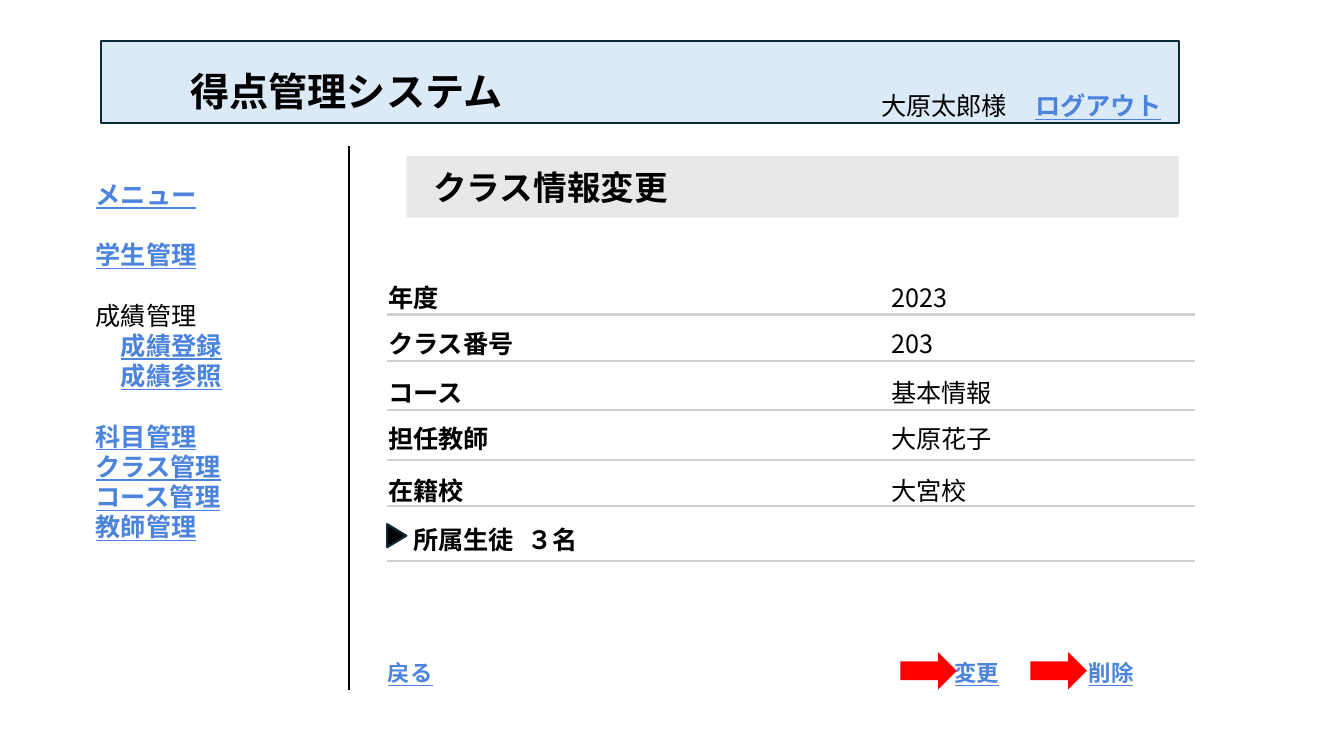
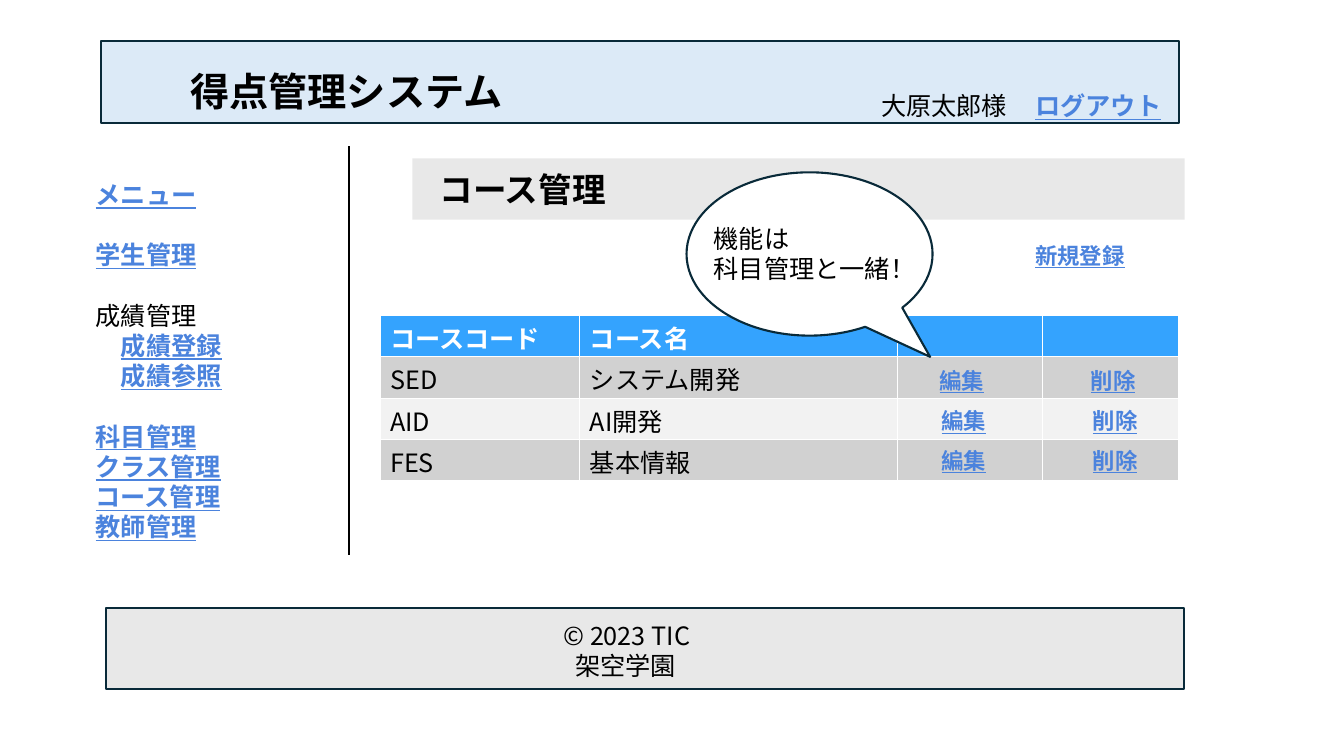
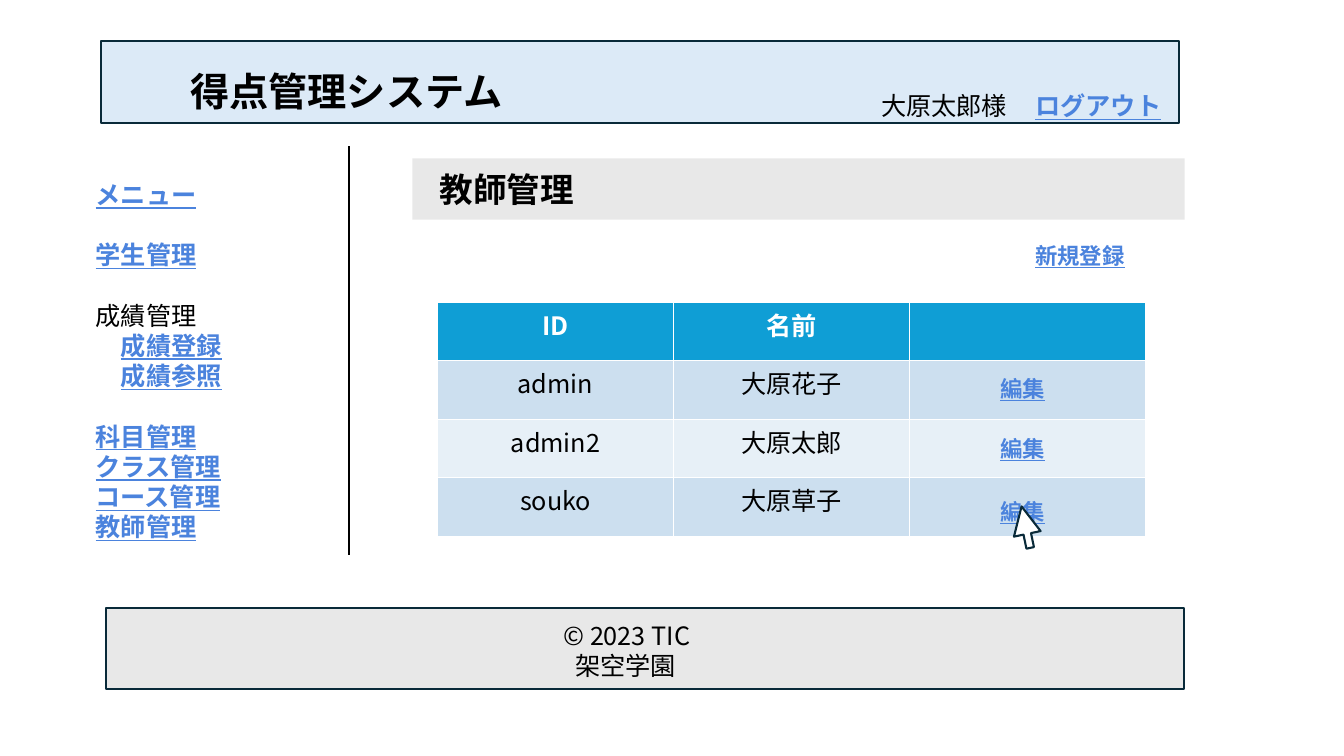
"""Build three screen mock-ups of a score management system."""
from lxml import etree
from pptx import Presentation
from pptx.dml.color import RGBColor
from pptx.enum.shapes import MSO_CONNECTOR, MSO_SHAPE
from pptx.enum.text import MSO_ANCHOR, PP_ALIGN
from pptx.oxml.ns import qn
from pptx.util import Inches, Pt

RECTANGLE, TRIANGLE = MSO_SHAPE.RECTANGLE, MSO_SHAPE.ISOSCELES_TRIANGLE
RIGHT_ARROW, UP_ARROW = MSO_SHAPE.RIGHT_ARROW, MSO_SHAPE.UP_ARROW
CALLOUT, STRAIGHT = MSO_SHAPE.OVAL_CALLOUT, MSO_CONNECTOR.STRAIGHT
LEFT, CENTER, TOP = PP_ALIGN.LEFT, PP_ALIGN.CENTER, MSO_ANCHOR.TOP

BLACK = RGBColor(0x00, 0x00, 0x00)
WHITE = RGBColor(0xFF, 0xFF, 0xFF)
RED = RGBColor(0xFF, 0x00, 0x00)
OUTLINE = RGBColor(0x09, 0x2A, 0x39)
HEADER_BLUE = RGBColor(0xDC, 0xEA, 0xF7)
LINK_BLUE = RGBColor(0x4B, 0x83, 0xDD)
PALE_GREY = RGBColor(0xE8, 0xE8, 0xE8)
RULE_GREY = RGBColor(0xD1, 0xD1, 0xD1)
BAND_GREY = RGBColor(0xF2, 0xF2, 0xF2)
COURSE_BLUE = RGBColor(0x34, 0xA3, 0xFE)
TEACHER_BLUE = RGBColor(0x0F, 0x9E, 0xD5)
TEACHER_DARK = RGBColor(0xCC, 0xDF, 0xEF)
TEACHER_LIGHT = RGBColor(0xE7, 0xF0, 0xF7)

FONT = "Noto Sans CJK JP"
LINE_HEIGHT = 1.2
PLAIN = {"size": Pt(18), "bold": False, "underline": False}
BOLD = {**PLAIN, "bold": True}
TITLE = {**BOLD, "size": Pt(28)}
HEADING = {**BOLD, "size": Pt(24)}
MENU_LINK = {**BOLD, "underline": True}
LINK = {**MENU_LINK, "size": Pt(16)}

MENU = [
    ("メニュー", MENU_LINK, 0, 0),
    ("学生管理", MENU_LINK, 1, 0),
    ("成績管理", PLAIN, 1, 0),
    ("成績登録", MENU_LINK, 0, 18),
    ("成績参照", MENU_LINK, 0, 18),
    ("科目管理", MENU_LINK, 1, 0),
    ("クラス管理", MENU_LINK, 0, 0),
    ("コース管理", MENU_LINK, 0, 0),
    ("教師管理", MENU_LINK, 0, 0),
]
FOOTER = [("© 2023 TIC", PLAIN, 0, 0), ("架空学園", PLAIN, 0, 8.5)]
CALLOUT_LINES = [("機能は", PLAIN, 0, 0), ("科目管理と一緒！", PLAIN, 0, 0)]

CLASS_FIELDS = [
    ("年度", "2023", 2.73, 3.12),
    ("クラス番号", "203", 3.18, 3.58),
    ("コース", "基本情報", 3.67, 4.07),
    ("担任教師", "大原花子", 4.12, 4.56),
    ("在籍校", "大宮校", 4.64, 5.02),
]
MEMBER_TOP, MEMBER_RULE = 5.13, 5.57

COURSES = {
    "rows": [
        ("コースコード", "コース名", "", ""),
        ("SED", "システム開発", "", ""),
        ("AID", "AI開発", "", ""),
        ("FES", "基本情報", "", ""),
    ],
    "box": (3.77, 3.13), "columns": (1.98, 3.15, 1.44, 1.35), "row_height": 0.41,
    "fills": (COURSE_BLUE, RULE_GREY, BAND_GREY), "align": LEFT,
}
TEACHERS = {
    "rows": [
        ("ID", "名前", ""),
        ("admin", "大原花子", ""),
        ("admin2", "大原太郎", ""),
        ("souko", "大原草子", ""),
    ],
    "box": (4.34, 3.0), "columns": (2.34,) * 3, "row_height": 0.58,
    "fills": (TEACHER_BLUE, TEACHER_DARK, TEACHER_LIGHT), "align": CENTER,
}
COURSE_LINKS = [(9.18, 3.57), (9.2, 3.97), (9.2, 4.36)]
COURSE_LINK_GAP = 1.5
TEACHER_LINK_TOPS = [3.65, 4.24, 4.87]


def write_paragraph(paragraph, text, style, color, align=LEFT, gap=0, indent=0):
    points = style["size"].pt * LINE_HEIGHT
    paragraph.line_spacing = Pt(points)
    paragraph.space_before = Pt(points * gap)
    paragraph.alignment = align
    if indent:
        paragraph._p.get_or_add_pPr().set("marL", str(Pt(indent)))
    if not text:
        return
    run = paragraph.add_run()
    run.text = text
    for name, value in style.items():
        setattr(run.font, name, value)
    run.font.color.rgb = color
    run.font.name = FONT
    east_asian = etree.SubElement(run._r.get_or_add_rPr(), qn("a:ea"))
    east_asian.set("typeface", FONT)


def add_lines(slide, box, lines, align=LEFT):
    frame = slide.shapes.add_textbox(*map(Inches, box)).text_frame
    frame.word_wrap = True
    frame.vertical_anchor = TOP
    frame.margin_top = Inches(0.05 + 0.0014 * lines[0][1]["size"].pt)
    for index, (text, style, gap, indent) in enumerate(lines):
        paragraph = frame.add_paragraph() if index else frame.paragraphs[0]
        color = LINK_BLUE if style["underline"] else BLACK
        write_paragraph(paragraph, text, style, color, align, gap, indent)


def add_text(slide, box, text, style=PLAIN, align=LEFT):
    add_lines(slide, box, [(text, style, 0, 0)], align)


def add_shape(slide, kind, box, fill, outlined=False, rotation=0, adjustments=()):
    shape = slide.shapes.add_shape(kind, *map(Inches, box))
    shape.shadow.inherit = False
    shape.rotation = rotation
    shape.fill.solid()
    shape.fill.fore_color.rgb = fill
    if outlined:
        shape.line.color.rgb = OUTLINE
        shape.line.width = Pt(1.5)
    else:
        shape.line.fill.background()
    for index, value in enumerate(adjustments):
        shape.adjustments[index] = value


def add_line(slide, start, end, color, width):
    line = slide.shapes.add_connector(STRAIGHT, *map(Inches, start + end))
    line.line.color.rgb = color
    line.line.width = Pt(width)
    etree.SubElement(line._element.spPr, qn("a:effectLst"))


def add_table(slide, rows, box, columns, row_height, fills, align):
    size = (sum(columns), row_height * len(rows))
    table = slide.shapes.add_table(
        len(rows), len(columns), *map(Inches, box + size)).table
    for column, width in zip(table.columns, columns):
        column.width = Inches(width)
    for row_index, texts in enumerate(rows):
        table.rows[row_index].height = Inches(row_height)
        is_header = row_index == 0
        fill = fills[0] if is_header else fills[2 - row_index % 2]
        for column_index, text in enumerate(texts):
            cell = table.cell(row_index, column_index)
            cell.fill.solid()
            cell.fill.fore_color.rgb = fill
            cell.margin_top, cell.margin_bottom = Inches(0.1), 0
            write_paragraph(cell.text_frame.paragraphs[0], text,
                            BOLD if is_header else PLAIN,
                            WHITE if is_header else BLACK, align)


def add_screen(presentation, heading, left, top, divider_end):
    slide = presentation.slides.add_slide(presentation.slide_layouts[6])
    add_line(slide, (3.46, 1.45), (3.46, divider_end), BLACK, 1)
    add_shape(slide, RECTANGLE, (1, 0.41, 10.69, 0.81), HEADER_BLUE, True)
    add_text(slide, (1.79, 0.58, 6, 0.57), "得点管理システム", TITLE)
    add_text(slide, (8.64, 0.82, 1.5, 0.4), "大原太郎様")
    add_text(slide, (10.17, 0.82, 1.5, 0.4), "ログアウト", MENU_LINK)
    add_shape(slide, RECTANGLE, (left, top, 7.66, 0.61), PALE_GREY)
    add_text(slide, (left + 0.17, top + 0.02, 5.29, 0.5), heading, HEADING)
    add_lines(slide, (0.85, 1.7, 2.42, 3.74), MENU)
    return slide


def add_list_screen(presentation, heading, table):
    slide = add_screen(presentation, heading, 4.09, 1.57, 5.51)
    add_text(slide, (10.17, 2.33, 2.17, 0.37), "新規登録", LINK)
    add_shape(slide, RECTANGLE, (1.05, 6.03, 10.69, 0.81), PALE_GREY, True)
    add_lines(slide, (5.49, 6.08, 2.04, 0.71), FOOTER)
    add_table(slide, **table)
    return slide


def build_class_screen(presentation):
    slide = add_screen(presentation, "クラス情報変更", 4.03, 1.55, 6.85)
    for label, value, top, _ in CLASS_FIELDS:
        add_text(slide, (3.75, top, 2.42, 0.4), label, BOLD)
        add_text(slide, (8.74, top, 2.42, 0.4), value)
    for rule in [field[3] for field in CLASS_FIELDS] + [MEMBER_RULE]:
        add_line(slide, (3.84, rule), (11.85, rule), RULE_GREY, 1.5)
    add_text(slide, (4, MEMBER_TOP, 1.3, 0.4), "所属生徒", BOLD)
    add_text(slide, (5.13, MEMBER_TOP, 2.42, 0.4), "３名", BOLD)
    add_shape(slide, TRIANGLE, (3.82, 5.22, 0.23, 0.19), BLACK, True, 90)
    for left, text in [(3.75, "戻る"), (9.37, "変更"), (10.7, "削除")]:
        add_text(slide, (left, 6.47, 0.8, 0.37), text, LINK)
    for left in (8.93, 10.22):
        add_shape(slide, RIGHT_ARROW, (left, 6.47, 0.56, 0.37), RED)


def build_course_screen(presentation):
    slide = add_list_screen(presentation, "コース管理", COURSES)
    for left, top in COURSE_LINKS:
        for index, text in enumerate(("編集", "削除")):
            box = (left + index * COURSE_LINK_GAP, top, 0.72, 0.37)
            add_text(slide, box, text, LINK, CENTER)
    add_shape(slide, CALLOUT, (6.81, 1.71, 2.44, 1.62), WHITE, True,
              adjustments=(0.49, 0.63))
    add_lines(slide, (6.98, 2.14, 2.31, 0.71), CALLOUT_LINES)


def build_teacher_screen(presentation):
    slide = add_list_screen(presentation, "教師管理", TEACHERS)
    for top in TEACHER_LINK_TOPS:
        add_text(slide, (9.82, top, 2.17, 0.37), "編集", LINK)
    add_shape(slide, UP_ARROW, (10.04, 5.02, 0.27, 0.42), WHITE, True, 348.2,
              (0.28, 1.03))


def main():
    presentation = Presentation()
    presentation.slide_width = Inches(13.33)
    presentation.slide_height = Inches(7.5)
    build_class_screen(presentation)
    build_course_screen(presentation)
    build_teacher_screen(presentation)
    presentation.save("out.pptx")


if __name__ == "__main__":
    main()
